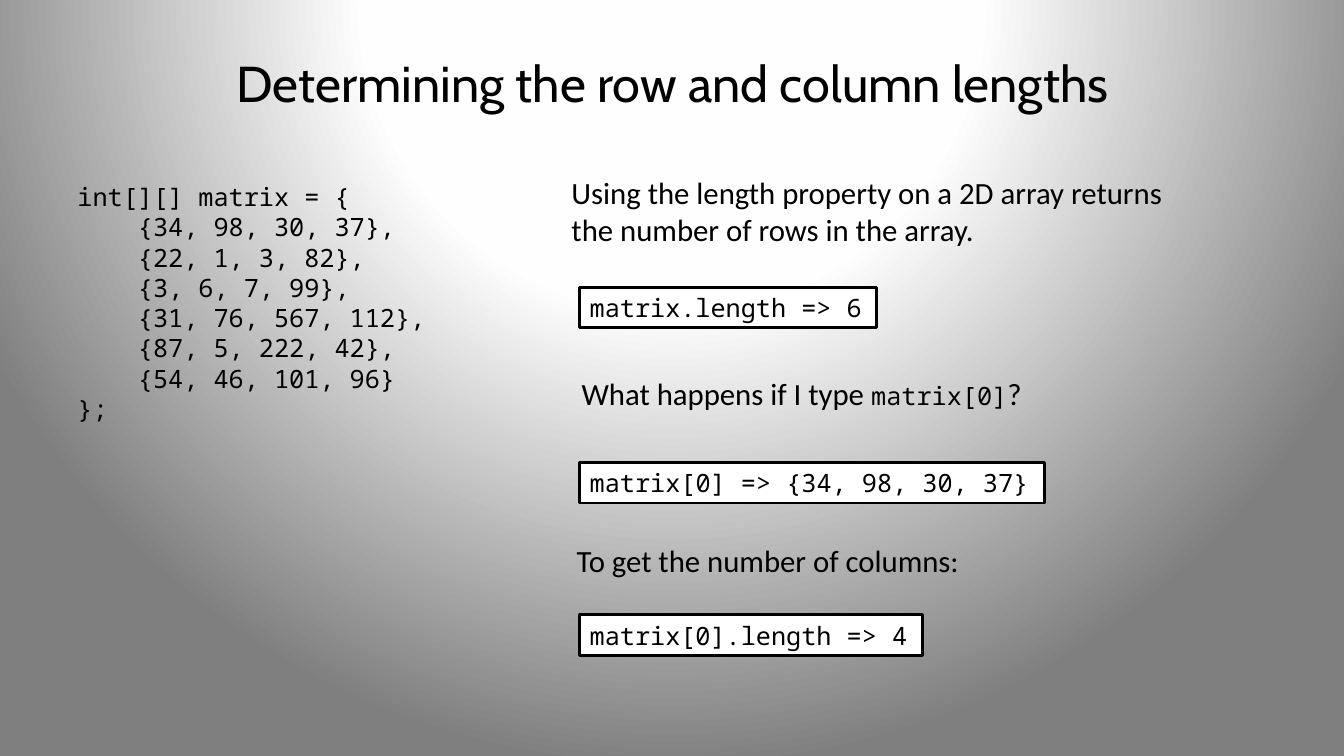
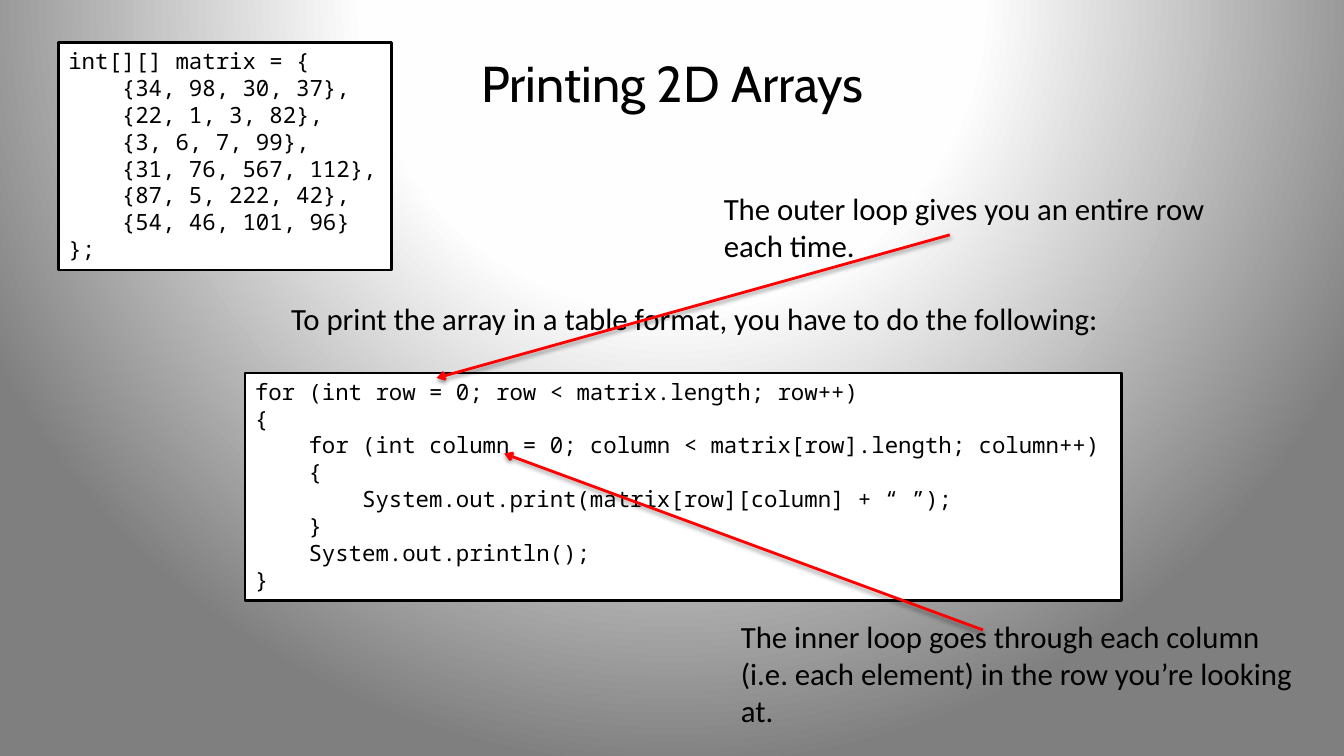
from collections import namedtuple

from pptx import Presentation
from pptx.dml.color import RGBColor
from pptx.enum.shapes import MSO_CONNECTOR, MSO_SHAPE
from pptx.enum.text import MSO_ANCHOR, MSO_AUTO_SIZE, PP_ALIGN
from pptx.oxml import parse_xml
from pptx.oxml.ns import nsdecls
from pptx.util import Inches, Pt

BLACK = RGBColor(0x00, 0x00, 0x00)
WHITE = RGBColor(0xFF, 0xFF, 0xFF)
RED = RGBColor(0xFF, 0x00, 0x00)
LINE_WIDTH = Pt(2)

TextStyle = namedtuple("TextStyle", "font size")
TITLE = TextStyle("Cabin", 36)
BODY = TextStyle("Calibri", 22)
CODE = TextStyle("Noto Sans Mono", 18)
SMALL_CODE = TextStyle("Noto Sans Mono", 16)

RESULT_LEFT = 5.75
RESULT_HEIGHT = 0.4

MATRIX_CODE = """int[][] matrix = {
    {34, 98, 30, 37},
    {22, 1, 3, 82},
    {3, 6, 7, 99},
    {31, 76, 567, 112},
    {87, 5, 222, 42},
    {54, 46, 101, 96}
};"""

LOOP_CODE = """for (int row = 0; row < matrix.length; row++)
{
    for (int column = 0; column < matrix[row].length; column++)
    {
        System.out.print(matrix[row][column] + “ ”);
    }
    System.out.println();
}"""

BACKGROUND_XML = f"""<a:gradFill {nsdecls('a')} rotWithShape="1">
  <a:gsLst>
    <a:gs pos="0"><a:srgbClr val="FFFFFF"/></a:gs>
    <a:gs pos="40000"><a:srgbClr val="FEFEFE"/></a:gs>
    <a:gs pos="100000"><a:srgbClr val="7F7F7F"/></a:gs>
  </a:gsLst>
  <a:path path="circle">
    <a:fillToRect l="50000" t="-80000" r="50000" b="180000"/>
  </a:path>
</a:gradFill>"""

SHADOW_XML = f"""<a:effectLst {nsdecls('a')}>
  <a:outerShdw blurRad="40000" dist="20000" dir="5400000" rotWithShape="0">
    <a:srgbClr val="000000"><a:alpha val="38000"/></a:srgbClr>
  </a:outerShdw>
</a:effectLst>"""


def set_background(master):
    master.background.fill.solid()
    solid_fill = master.element.xpath("p:cSld/p:bg/p:bgPr/a:solidFill")[0]
    solid_fill.getparent().replace(solid_fill, parse_xml(BACKGROUND_XML))


def format_span(span, style):
    span.font.name = style.font
    span.font.size = Pt(style.size)
    span.font.color.rgb = BLACK


def fill_text(box, text, style):
    """Write one left-aligned paragraph per line into a box that fits its text."""
    frame = box.text_frame
    frame.text = text
    frame.word_wrap = False
    frame.auto_size = MSO_AUTO_SIZE.SHAPE_TO_FIT_TEXT
    frame.vertical_anchor = MSO_ANCHOR.TOP
    for para in frame.paragraphs:
        para.alignment = PP_ALIGN.LEFT
        for span in para.runs:
            format_span(span, style)


def add_text(page, left, top, width, height, text, style=BODY):
    box = page.shapes.add_textbox(
        Inches(left), Inches(top), Inches(width), Inches(height))
    fill_text(box, text, style)
    return box


def add_code_box(page, left, top, width, height, code, style):
    """Add code on white inside a black frame."""
    box = page.shapes.add_shape(
        MSO_SHAPE.RECTANGLE,
        Inches(left), Inches(top), Inches(width), Inches(height))
    box.shadow.inherit = False
    box.fill.solid()
    box.fill.fore_color.rgb = WHITE
    box.line.color.rgb = BLACK
    box.line.width = LINE_WIDTH
    fill_text(box, code, style)


def add_arrow(page, start, end):
    arrow = page.shapes.add_connector(
        MSO_CONNECTOR.STRAIGHT, *(Inches(value) for value in start + end))
    arrow.line.color.rgb = RED
    arrow.line.width = LINE_WIDTH
    arrow.line._get_or_add_ln().append(
        parse_xml(f'<a:tailEnd {nsdecls("a")} type="arrow"/>'))
    arrow._element.spPr.append(parse_xml(SHADOW_XML))


def add_page(deck, title):
    page = deck.slides.add_slide(deck.slide_layouts[6])
    box = add_text(page, 0.67, 0.3, 12, 1.03, title, TITLE)
    frame = box.text_frame
    frame.word_wrap = True
    frame.auto_size = MSO_AUTO_SIZE.NONE
    frame.vertical_anchor = MSO_ANCHOR.MIDDLE
    frame.paragraphs[0].alignment = PP_ALIGN.CENTER
    return page


def add_lengths_page(deck):
    page = add_page(deck, "Determining the row and column lengths")
    add_text(page, 0.67, 1.75, 3.69, 2.52, MATRIX_CODE, CODE)
    add_text(page, 5.57, 1.67, 6.16, 0.84,
             "Using the length property on a 2D array returns\n"
             "the number of rows in the array.")

    question = add_text(page, 5.67, 3.67, 4.62, 0.47, "What happens if I type ")
    para = question.text_frame.paragraphs[0]
    for text, style in (("matrix[0]", CODE), ("?", BODY)):
        span = para.add_run()
        span.text = text
        format_span(span, style)

    add_text(page, 5.62, 5.33, 4.07, 0.47, "To get the number of columns:")

    for top, width, code in (
        (2.85, 2.94, "matrix.length => 6"),
        (4.59, 4.61, "matrix[0] => {34, 98, 30, 37}"),
        (6.1, 3.4, "matrix[0].length => 4"),
    ):
        add_code_box(page, RESULT_LEFT, top, width, RESULT_HEIGHT, code, CODE)


def add_printing_page(deck):
    page = add_page(deck, "Printing 2D Arrays")
    add_code_box(page, 0.58, 0.42, 3.3, 2.26, MATRIX_CODE, SMALL_CODE)
    add_text(page, 2.79, 2.92, 8.37, 0.47,
             "To print the array in a table format, you have to do the following:")
    add_code_box(page, 2.43, 3.7, 8.69, 2.26, LOOP_CODE, SMALL_CODE)
    add_text(page, 7.08, 1.83, 5.05, 0.84,
             "The outer loop gives you an entire row\neach time.")
    add_text(page, 7.25, 6.08, 5.76, 1.21,
             "The inner loop goes through each column\n"
             "(i.e. each element) in the row you’re looking\nat.")
    add_arrow(page, (9.42, 2.33), (4.33, 3.75))
    add_arrow(page, (9.75, 6.25), (5, 4.5))


def main():
    deck = Presentation()
    deck.slide_width = Inches(13.33)
    deck.slide_height = Inches(7.5)
    set_background(deck.slide_master)
    add_lengths_page(deck)
    add_printing_page(deck)
    deck.save("out.pptx")


if __name__ == "__main__":
    main()
